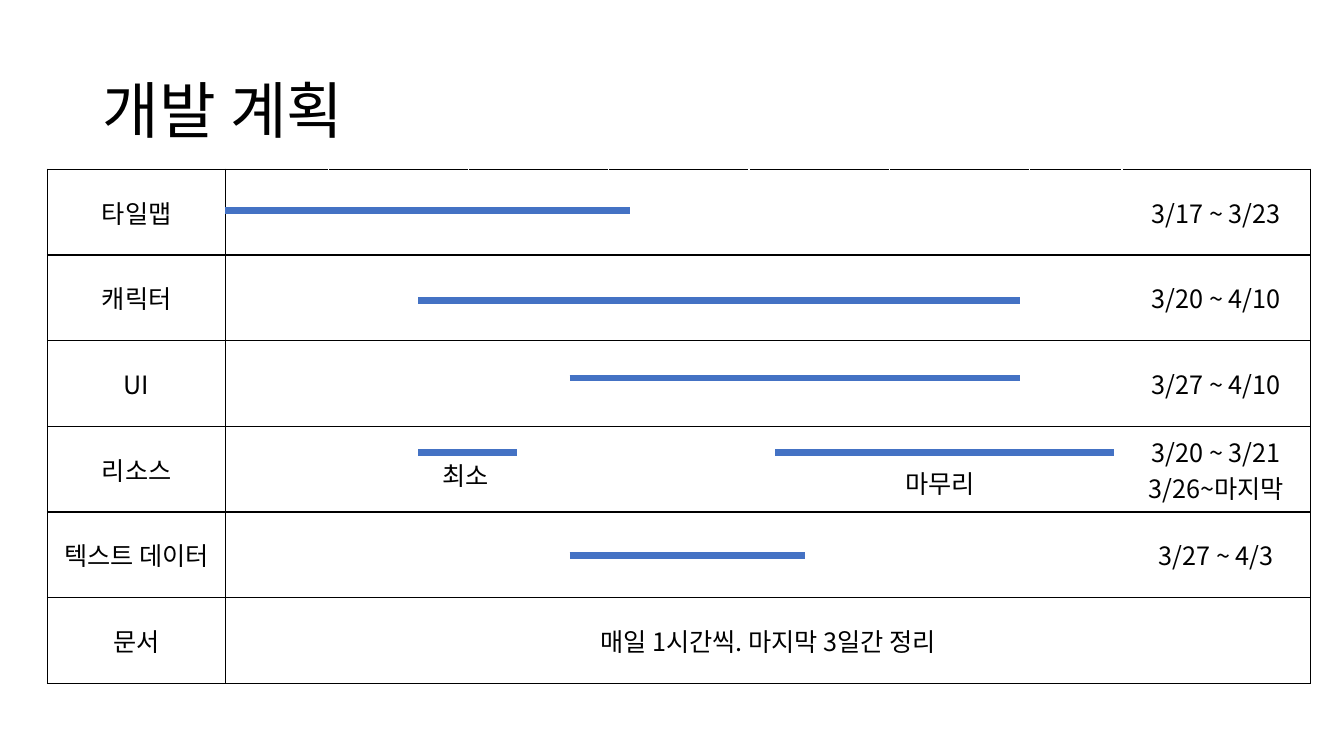
"""Build the development plan slide with a schedule table and timeline bars."""
from lxml.etree import SubElement
from pptx import Presentation
from pptx.dml.color import RGBColor
from pptx.enum.shapes import MSO_CONNECTOR
from pptx.enum.text import MSO_ANCHOR, MSO_AUTO_SIZE, PP_ALIGN
from pptx.oxml.ns import qn
from pptx.util import Inches, Pt

BLACK = RGBColor(0, 0, 0)
WHITE = RGBColor(255, 255, 255)
BLUE = RGBColor(0x44, 0x72, 0xC4)
FONT = "Noto Sans CJK KR"


def write_text(frame, text, size, alignment, spacing=1.0):
    frame.text = text
    for paragraph in frame.paragraphs:
        paragraph.alignment = alignment
        paragraph.line_spacing = spacing
        for run in paragraph.runs:
            font_format = {"name": FONT, "size": Pt(size), "bold": False}
            for attribute, value in font_format.items():
                setattr(run.font, attribute, value)
            run.font.color.rgb = BLACK
            SubElement(run.font._element, qn("a:ea"), typeface=FONT)


def set_borders(cell, colors):
    properties = cell._tc.get_or_add_tcPr()
    for index, (side, color) in enumerate(zip("LRTB", colors)):
        border = SubElement(properties, qn(f"a:ln{side}"), w=str(Pt(1)))
        fill = SubElement(border, qn("a:solidFill"))
        SubElement(fill, qn("a:srgbClr"), val=str(color))
        properties.insert(index, border)


presentation = Presentation()
presentation.slide_width = Inches(13.33)
presentation.slide_height = Inches(7.5)
slide = presentation.slides.add_slide(presentation.slide_layouts[5])

title = slide.shapes.title
title_format = {"left": 0.92, "top": 0.4, "width": 11.5, "height": 1.45}
for attribute, value in title_format.items():
    setattr(title, attribute, Inches(value))
title.text_frame.vertical_anchor = MSO_ANCHOR.MIDDLE
write_text(title.text_frame, "개발 계획", 44, PP_ALIGN.LEFT, 0.9)

schedule = [
    ("타일맵", "3/17 ~ 3/23"),
    ("캐릭터", "3/20 ~ 4/10"),
    ("UI", "3/27 ~ 4/10"),
    ("리소스", "3/20 ~ 3/21\n3/26~마지막"),
    ("텍스트 데이터", "3/27 ~ 4/3"),
    ("문서", "매일 1시간씩. 마지막 3일간 정리"),
]
column_widths = [1.77, 1.02] + [1.39] * 5 + [0.92, 1.87]
last_row = len(schedule) - 1
last_column = len(column_widths) - 1
table = slide.shapes.add_table(
    len(schedule), len(column_widths),
    Inches(0.47), Inches(1.68), Inches(12.55), Inches(5.1),
).table
table.first_row = False
table.horz_banding = False
for column, width in zip(table.columns, column_widths):
    column.width = Inches(width)

for row_index, (task, period) in enumerate(schedule):
    table.rows[row_index].height = Inches(0.85)
    merged = row_index == last_row
    texts = {0: task, 1 if merged else last_column: period}
    for column_index in range(len(column_widths)):
        cell = table.cell(row_index, column_index)
        cell.fill.solid()
        cell.fill.fore_color.rgb = WHITE
        cell.vertical_anchor = MSO_ANCHOR.MIDDLE
        left = BLACK if column_index < 2 else WHITE
        right = BLACK if merged or column_index in (0, last_column) else WHITE
        set_borders(cell, (left, right, BLACK, BLACK))
        if column_index in texts:
            write_text(cell.text_frame, texts[column_index], 18, PP_ALIGN.CENTER)
table.cell(last_row, 1).merge(table.cell(last_row, last_column))

timeline_bars = [
    (4.15, 5.13, 4.49),
    (7.69, 11.05, 4.49),
    (4.15, 10.12, 2.98),
    (5.65, 10.12, 3.75),
    (2.23, 6.25, 2.09),
    (5.65, 7.98, 5.51),
]
for start, end, height in timeline_bars:
    bar = slide.shapes.add_connector(
        MSO_CONNECTOR.STRAIGHT,
        Inches(start), Inches(height), Inches(end), Inches(height),
    )
    bar.line.color.rgb = BLUE
    bar.line.width = Pt(5)
    SubElement(bar._element.spPr, qn("a:effectLst"))

bar_labels = [("최소", 4.29, 4.52, 0.7), ("마무리", 8.88, 4.6, 0.98)]
for text, left, top, width in bar_labels:
    label = slide.shapes.add_textbox(
        Inches(left), Inches(top), Inches(width), Inches(0.4)
    )
    label_format = {"word_wrap": False, "auto_size": MSO_AUTO_SIZE.SHAPE_TO_FIT_TEXT}
    for attribute, value in label_format.items():
        setattr(label.text_frame, attribute, value)
    write_text(label.text_frame, text, 18, PP_ALIGN.LEFT)

presentation.save("out.pptx")
